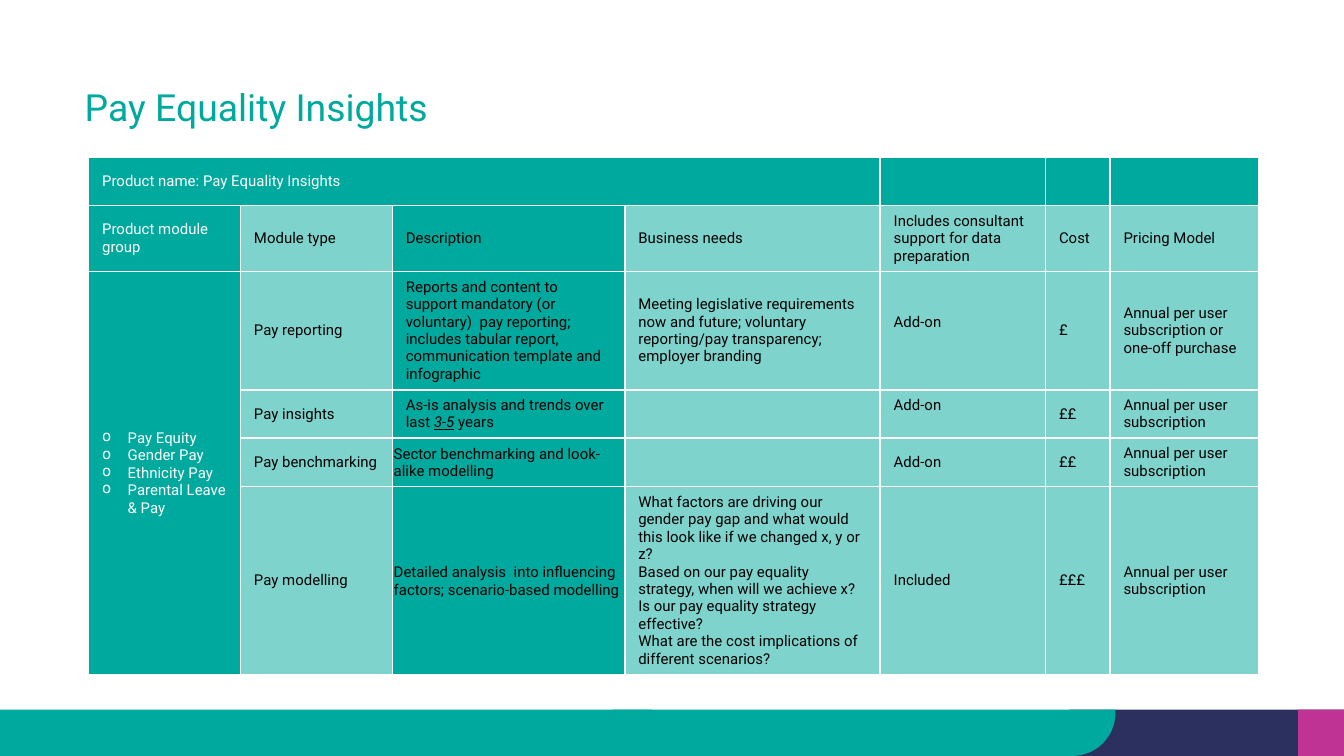
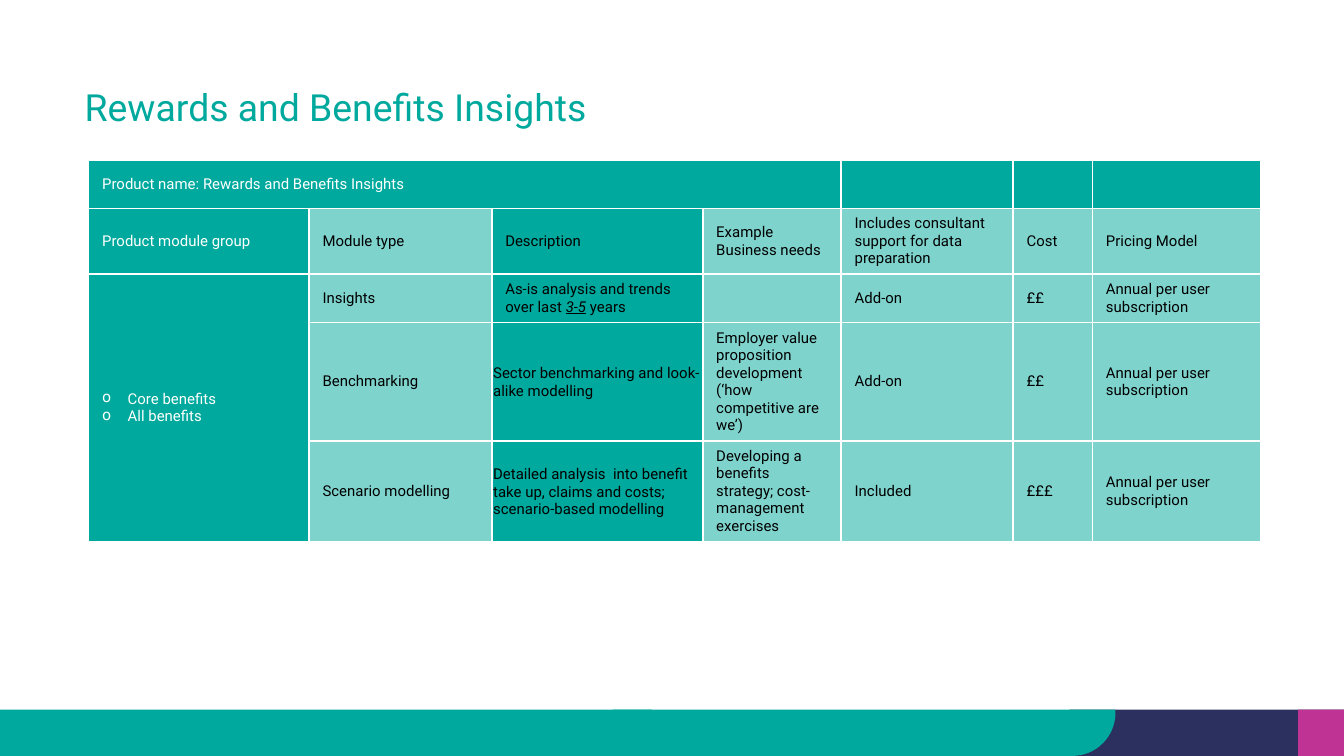
from math import cos, pi, sin

from lxml.etree import SubElement
from pptx import Presentation
from pptx.dml.color import RGBColor
from pptx.enum.shapes import MSO_SHAPE as Shape
from pptx.enum.text import MSO_ANCHOR as Anchor, MSO_AUTO_SIZE as AutoSize, PP_ALIGN as Align
from pptx.oxml.ns import qn
from pptx.util import Inches, Pt

COLOURS = {
    "teal": "00A99D",
    "navy": "2C305F",
    "pink": "BE3393",
    "white": "FFFFFF",
    "black": "000000",
}
FONT = "Roboto"
TITLE_ONLY = 5
DARK_COLUMNS = (0, 2)
ROW_HEIGHT = 3.6
TABLE_LEFT = 6.6

ANNUAL = "Annual per user subscription"
TRENDS = "As-is analysis and trends over last _3-5_ years"
SECTOR = "Sector benchmarking and look-alike modelling"


def heading_rows(product, needs):
    return [
        [f"Product name: {product}"] + [""] * 6,
        ["Product module group", "Module type", "Description", needs,
         "Includes consultant support for data preparation", "Cost", "Pricing Model"],
    ]


PAY_ROWS = heading_rows("Pay Equality Insights", "Business needs") + [
    ["Pay Equity\nGender Pay\nEthnicity Pay\nParental Leave & Pay", "Pay reporting",
     "Reports and content to support mandatory (or voluntary)  pay reporting; "
     "includes tabular report, communication template and infographic",
     "Meeting legislative requirements now and future; voluntary "
     "reporting/pay transparency; employer branding",
     "Add-on", "£", "Annual per user subscription or one-off purchase"],
    ["", "Pay insights", TRENDS, "", "Add-on", "££", ANNUAL],
    ["", "Pay benchmarking", SECTOR, "", "Add-on", "££", ANNUAL],
    ["", "Pay modelling",
     "Detailed analysis  into influencing factors; scenario-based modelling",
     "What factors are driving our gender pay gap and what would this look like "
     "if we changed x, y or z?\n"
     "Based on our pay equality strategy, when will we achieve x? "
     "Is our pay equality strategy effective?\n"
     "What are the cost implications of different scenarios?",
     "Included", "£££", ANNUAL],
]

BENEFIT_ROWS = heading_rows("Rewards and Benefits Insights", "Example Business needs") + [
    ["Core benefits\nAll benefits", "Insights", TRENDS, "", "Add-on", "££", ANNUAL],
    ["", "Benchmarking", SECTOR,
     "Employer value proposition development (‘how competitive are we’)",
     "Add-on", "££", ANNUAL],
    ["", "Scenario modelling",
     "Detailed analysis  into benefit take up, claims and costs; scenario-based modelling",
     "Developing a benefits strategy; cost-management exercises",
     "Included", "£££", ANNUAL],
]


class Deck:
    """Shared style and the current page; lengths are hundredths of the page width."""

    def __init__(self):
        self.deck = Presentation()
        self.deck.slide_width = Inches(10)
        self.deck.slide_height = Inches(5.625)
        self.page = None

    def unit(self, count):
        return round(self.deck.slide_width * count / 100)

    def colour(self, name):
        return RGBColor.from_string(COLOURS[name])

    def paint(self, shape, colour):
        shape.shadow.inherit = False
        shape.fill.solid()
        shape.fill.fore_color.rgb = self.colour(colour)
        shape.line.fill.background()

    def add_page(self, title):
        self.page = self.deck.slides.add_slide(self.deck.slide_layouts[TITLE_ONLY])
        self.add_band()
        self.set_title(title)

    def add_block(self, left, width, top, colour):
        top = self.unit(top)
        block = self.page.shapes.add_shape(
            Shape.RECTANGLE, self.unit(left), top, self.unit(width),
            self.deck.slide_height - top)
        self.paint(block, colour)

    def add_band(self, top=52.8, bottom=56.25, left=45.6, right=83, radius=3.2):
        """Footer band whose teal part ends in a rounded lower right corner."""
        self.add_block(0, 48.5, top, "teal")
        self.add_block(79.6, 20.4, top, "navy")
        angles = [step * pi / 32 for step in range(17)]
        corner = [(right - radius + radius * sin(angle), bottom - radius + radius * cos(angle))
                  for angle in angles]
        outline = [(left, bottom), *corner, (right, top)]
        builder = self.page.shapes.build_freeform(self.unit(left), self.unit(top))
        builder.add_line_segments([(self.unit(x), self.unit(y)) for x, y in outline])
        self.paint(builder.convert_to_shape(), "teal")
        self.add_block(96.6, 3.4, top, "pink")

    def set_title(self, text):
        box = self.page.shapes.title
        box.left, box.top = self.unit(6.3), self.unit(6.5)
        box.width, box.height = self.unit(65.3), self.unit(3.3)
        frame = box.text_frame
        frame.margin_left = frame.margin_top = frame.margin_bottom = 0
        frame.margin_right = self.unit(0.4)
        frame.auto_size = AutoSize.NONE
        frame.word_wrap = True
        frame.vertical_anchor = Anchor.MIDDLE
        frame.text = text
        para = frame.paragraphs[0]
        para.alignment = Align.LEFT
        para.line_spacing = 0.9
        self.set_font(para, 20, "teal")

    def set_font(self, para, size, colour):
        para.font.name = FONT
        para.font.size = Pt(size)
        para.font.color.rgb = self.colour(colour)

    def add_table(self, top, height, widths, rows, raised=()):
        """Draw a product table; raised cells sit one line above the middle."""
        frame = self.page.shapes.add_table(
            len(rows), len(widths), self.unit(TABLE_LEFT), self.unit(top),
            self.unit(sum(widths)), self.unit(ROW_HEIGHT * len(rows)))
        table = frame.table
        table.first_row = table.horz_banding = False
        for column, width in zip(table.columns, widths):
            column.width = self.unit(width)
        last = len(rows) - 1
        for r, row in enumerate(rows):
            for c, text in enumerate(row):
                cell = table.cell(r, c)
                self.fill_cell(cell, solid=r == 0 or c in DARK_COLUMNS)
                self.write_cell(cell, text, "white" if r == 0 or c == 0 else "black",
                                bulleted=c == 0 and r > 1)
                if c == 2 and r >= last - 1:
                    cell.margin_left = cell.margin_top = cell.margin_right = self.unit(0.1)
                    cell.margin_bottom = 0
                if (r, c) in raised:
                    cell.margin_bottom = self.unit(1.8)
        table.cell(0, 0).merge(table.cell(0, 3))
        table.cell(2, 0).merge(table.cell(last, 0))
        frame.height = self.unit(height)

    def fill_cell(self, cell, solid):
        cell.vertical_anchor = Anchor.MIDDLE
        properties = cell._tc.get_or_add_tcPr()
        for side in ("lnL", "lnR", "lnT", "lnB"):
            line = SubElement(properties, qn(f"a:{side}"), w=str(Pt(1)))
            paint = SubElement(line, qn("a:solidFill"))
            SubElement(paint, qn("a:srgbClr"), val=COLOURS["white"])
        cell.fill.solid()
        cell.fill.fore_color.rgb = self.colour("teal")
        if not solid:
            tint = properties.find(qn("a:solidFill")).find(qn("a:srgbClr"))
            SubElement(tint, qn("a:alpha"), val="50000")

    def write_cell(self, cell, text, colour, bulleted):
        """Write one paragraph a line; words between underscores are stressed."""
        frame = cell.text_frame
        for index, line in enumerate(text.split("\n")):
            para = frame.add_paragraph() if index else frame.paragraphs[0]
            if bulleted and line:
                self.add_bullet(para)
            self.set_font(para, 8, colour)
            for part, words in enumerate(line.split("_")):
                if not words:
                    continue
                span = para.add_run()
                span.text = words
                if part % 2:
                    span.font.italic = span.font.underline = True
            if not line:
                SubElement(para._p, qn("a:endParaRPr"), sz="800")

    def add_bullet(self, para):
        properties = para._p.get_or_add_pPr()
        indent = self.unit(1.9)
        properties.set("marL", str(indent))
        properties.set("indent", str(-indent))
        SubElement(properties, qn("a:buChar"), char="o")

    def save(self):
        self.deck.save("out.pptx")


def main():
    deck = Deck()
    deck.add_page("Pay Equality Insights")
    deck.add_table(11.7, 39.2, (11.3, 11.3, 17.3, 19, 12.3, 4.8, 11.1), PAY_ROWS,
                   raised=((2, 4), (3, 4)))
    deck.add_page("Rewards and Benefits Insights")
    deck.add_table(11.9, 28.9, (16.4, 13.6, 15.7, 10.3, 12.8, 5.9, 12.5), BENEFIT_ROWS)
    deck.save()


if __name__ == "__main__":
    main()
